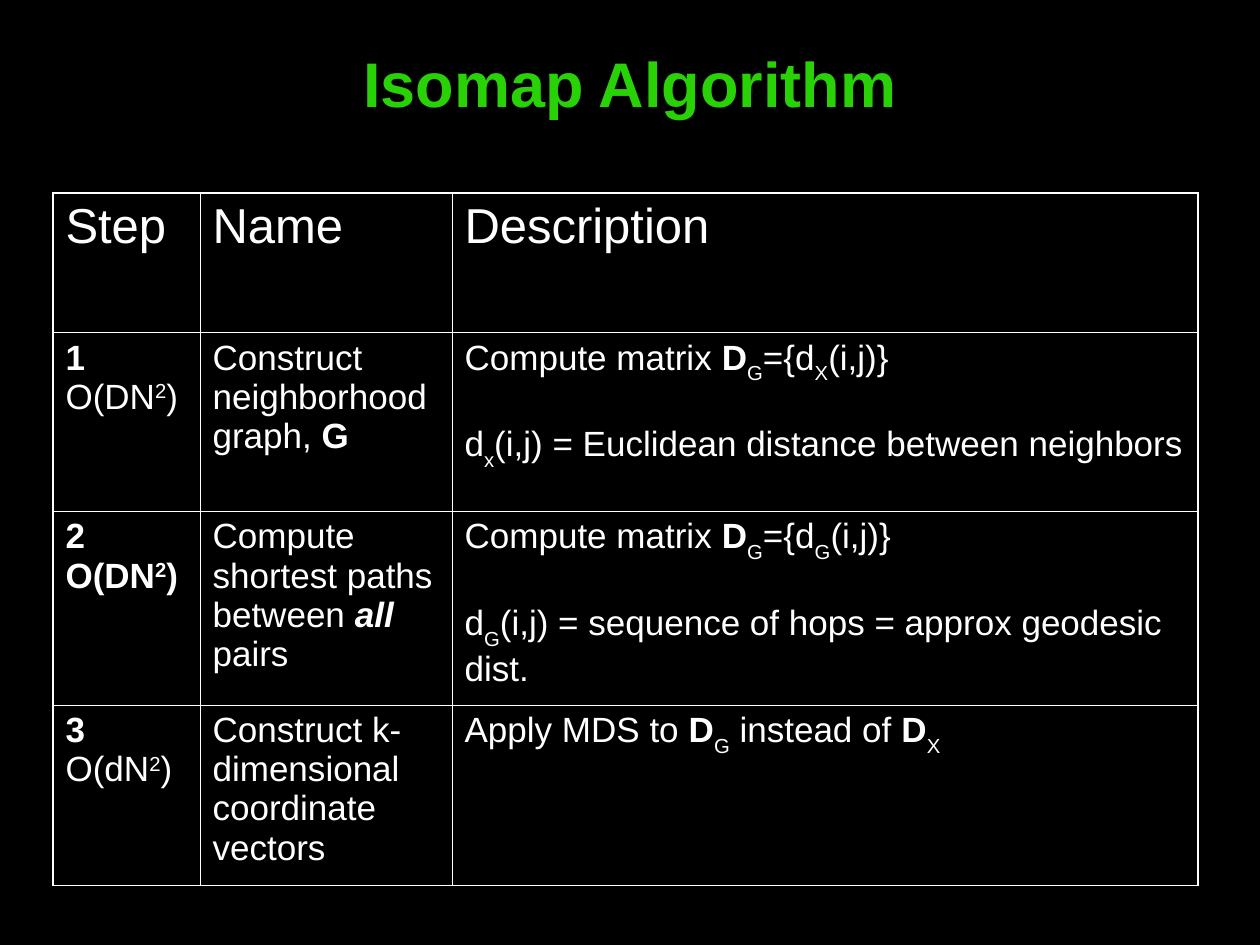
from pptx import Presentation
from pptx.dml.color import RGBColor
from pptx.enum.text import MSO_ANCHOR as Anchor, PP_ALIGN as Align
from pptx.oxml import parse_xml
from pptx.oxml.ns import nsdecls
from pptx.util import Pt

BLACK = RGBColor(0x00, 0x00, 0x00)
WHITE = RGBColor(0xFF, 0xFF, 0xFF)
GREEN = RGBColor(0x29, 0xD1, 0x07)
FONT = "Arial"
SCALE = 914400 / 126

# Content: a cell is a list of paragraphs, a paragraph a list of (text, style)
TITLE = "Isomap Algorithm"
HEADERS = ["Step", "Name", "Description"]
STEPS = [
    [
        [[("1", "bold")], [("O(DN", ""), ("2", "super"), (")", "")]],
        [[("Construct neighborhood graph, ", ""), ("G", "bold")]],
        [[("Compute matrix ", ""), ("D", "bold"), ("G", "sub"), ("={d", ""),
          ("X", "sub"), ("(i,j)}", "")],
         [("d", ""), ("x", "sub"),
          ("(i,j) = Euclidean distance between neighbors", "")]],
    ],
    [
        [[("2", "bold")],
         [("O(DN", "bold"), ("2", "bold super"), (")", "bold")]],
        [[("Compute shortest paths between ", ""), ("all", "bold italic"),
          (" pairs", "")]],
        [[("Compute matrix ", ""), ("D", "bold"), ("G", "sub"), ("={d", ""),
          ("G", "sub"), ("(i,j)}", "")],
         [("d", ""), ("G", "sub"),
          ("(i,j) = sequence of hops = approx geodesic dist.", "")]],
    ],
    [
        [[("3", "bold")], [("O(dN", ""), ("2", "super"), (")", "")]],
        [[("Construct k-dimensional coordinate vectors", "")]],
        [[("Apply MDS to ", ""), ("D", "bold"), ("G", "sub"),
          (" instead of ", ""), ("D", "bold"), ("X", "sub")]],
    ],
]
COLUMN_WIDTHS = [147, 252, 746]
ROW_HEIGHTS = [139, 179, 184, 179]
TABLE_LEFT, TABLE_TOP = 53, 193
OUTER_LINE, INNER_LINE = 1.08, 0.45
BASELINES = {"super": "30000", "sub": "-30000"}


def px(length):
    return round(length * SCALE)


def write(frame, paragraphs, size, color=WHITE, align=Align.LEFT, gap=0):
    """Fill a text frame with styled paragraphs, gap points apart."""
    frame.word_wrap = True
    for index, runs in enumerate(paragraphs):
        para = frame.add_paragraph() if index else frame.paragraphs[0]
        para.alignment = align
        if index:
            para.space_before = Pt(gap)
        for text, style in runs:
            span = para.add_run()
            span.text = text
            font = span.font
            font.name, font.size, font.color.rgb = FONT, Pt(size), color
            words = style.split()
            font.bold, font.italic = "bold" in words, "italic" in words
            for word in words:
                if word in BASELINES:
                    font._element.set("baseline", BASELINES[word])


def draw_borders(cell, outer_sides):
    properties = cell._tc.get_or_add_tcPr()
    for side in "LRTB":
        width = Pt(OUTER_LINE if side in outer_sides else INNER_LINE)
        properties.append(parse_xml(
            f'<a:ln{side} {nsdecls("a")} w="{width}"><a:solidFill>'
            f'<a:srgbClr val="{WHITE}"/></a:solidFill></a:ln{side}>'))


deck = Presentation()
deck.slide_width, deck.slide_height = px(1260), px(945)
page = deck.slides.add_slide(deck.slide_layouts[6])
page.background.fill.solid()
page.background.fill.fore_color.rgb = BLACK

# Title
box = page.shapes.add_textbox(px(63), px(38), px(1134), px(88))
box.text_frame.vertical_anchor = Anchor.MIDDLE
write(box.text_frame, [[(TITLE, "bold")]], size=36, color=GREEN, align=Align.CENTER)

# Table of steps
rows = [[[[(header, "")]] for header in HEADERS]] + STEPS
table = page.shapes.add_table(
    len(rows), len(HEADERS), px(TABLE_LEFT), px(TABLE_TOP),
    px(sum(COLUMN_WIDTHS)), px(sum(ROW_HEIGHTS))).table
table.first_row = table.horz_banding = False
for column, width in zip(table.columns, COLUMN_WIDTHS):
    column.width = px(width)
for row, height in zip(table.rows, ROW_HEIGHTS):
    row.height = px(height)

last_row, last_column = len(rows) - 1, len(HEADERS) - 1
for r, contents in enumerate(rows):
    for c, paragraphs in enumerate(contents):
        cell = table.cell(r, c)
        edges = {"L": c == 0, "R": c == last_column, "T": r == 0, "B": r == last_row}
        draw_borders(cell, [side for side, outer in edges.items() if outer])
        cell.fill.background()
        cell.vertical_anchor = Anchor.TOP
        write(cell.text_frame, paragraphs, size=20 if r else 28,
              gap=23 if c == last_column else 0)

deck.save("out.pptx")
